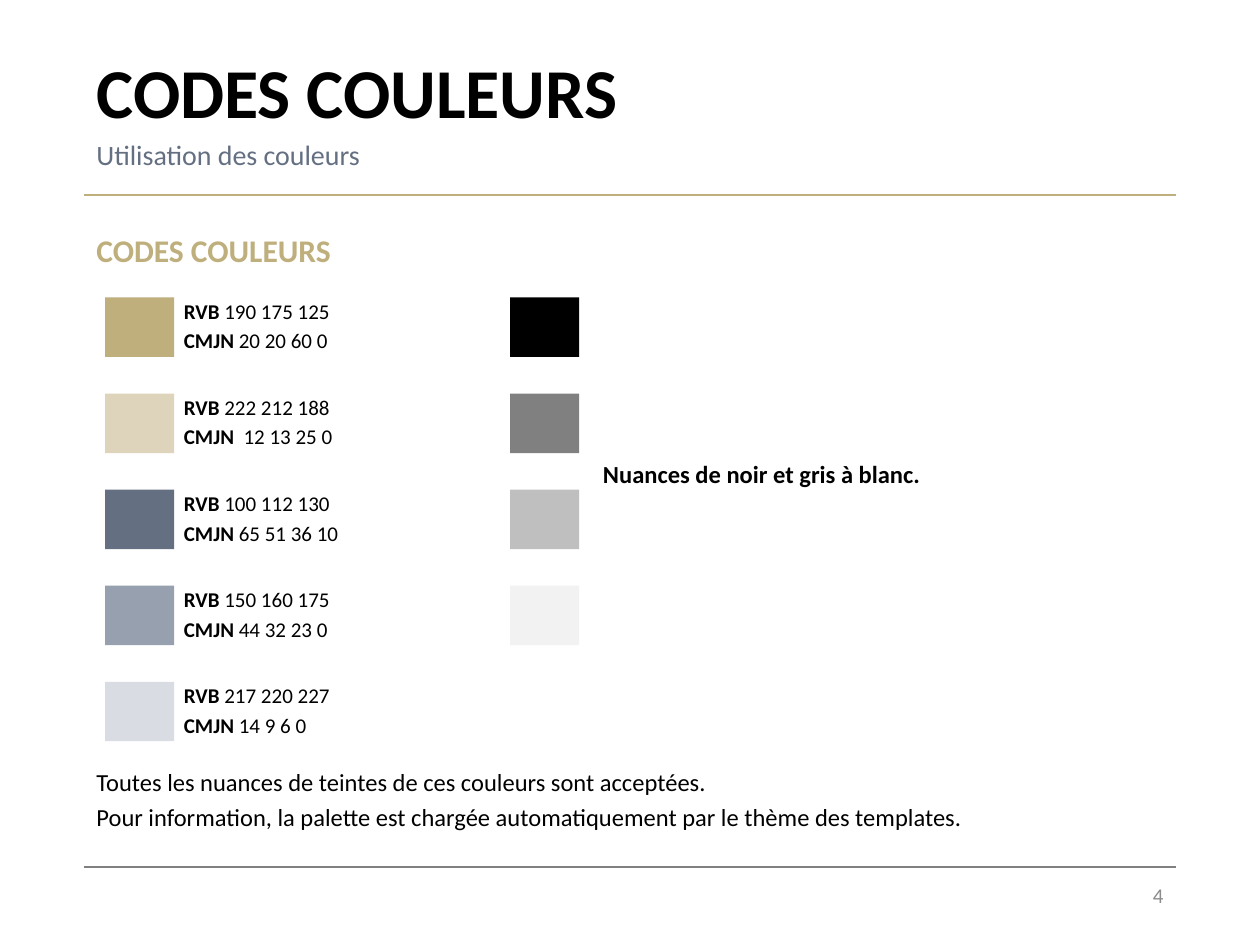
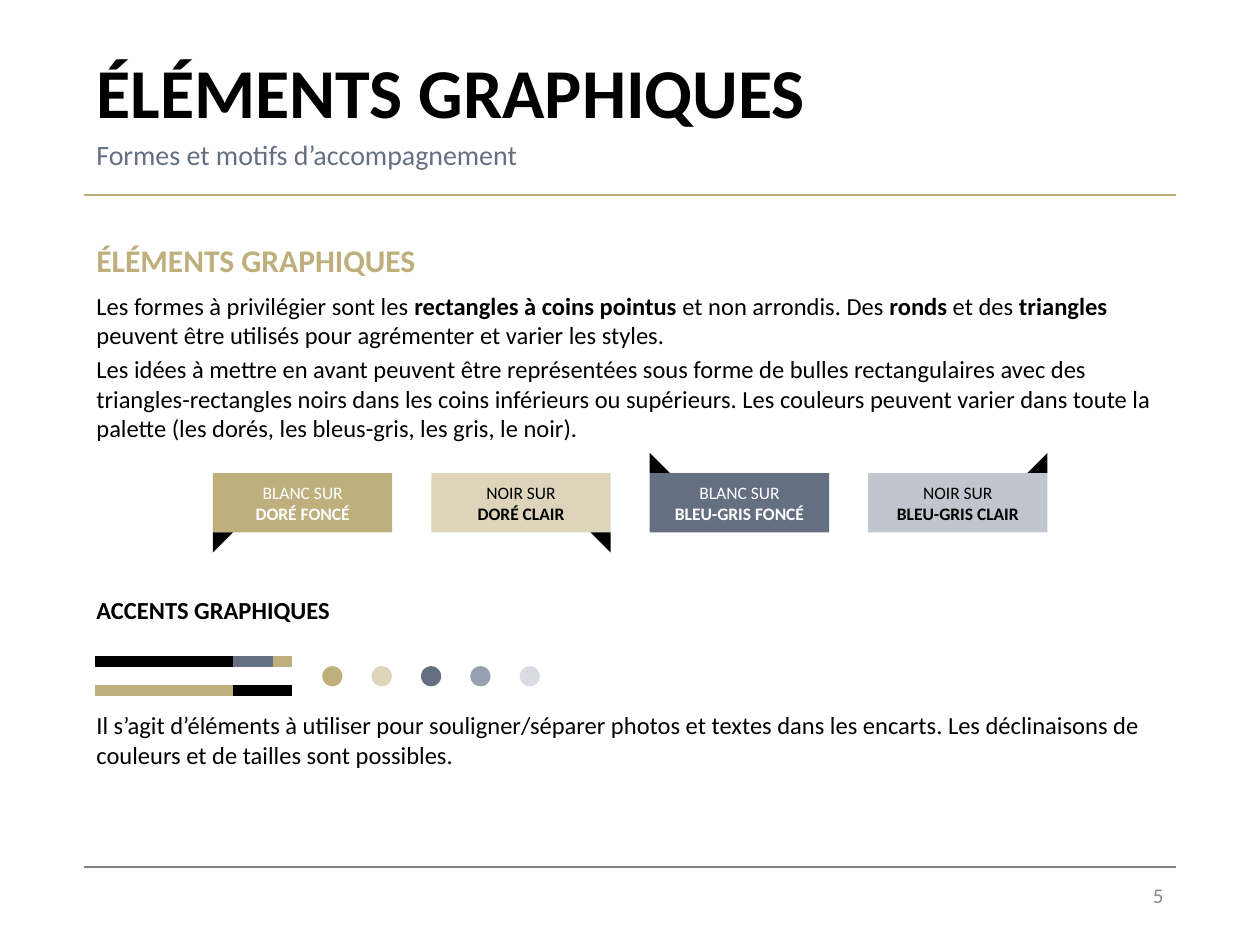
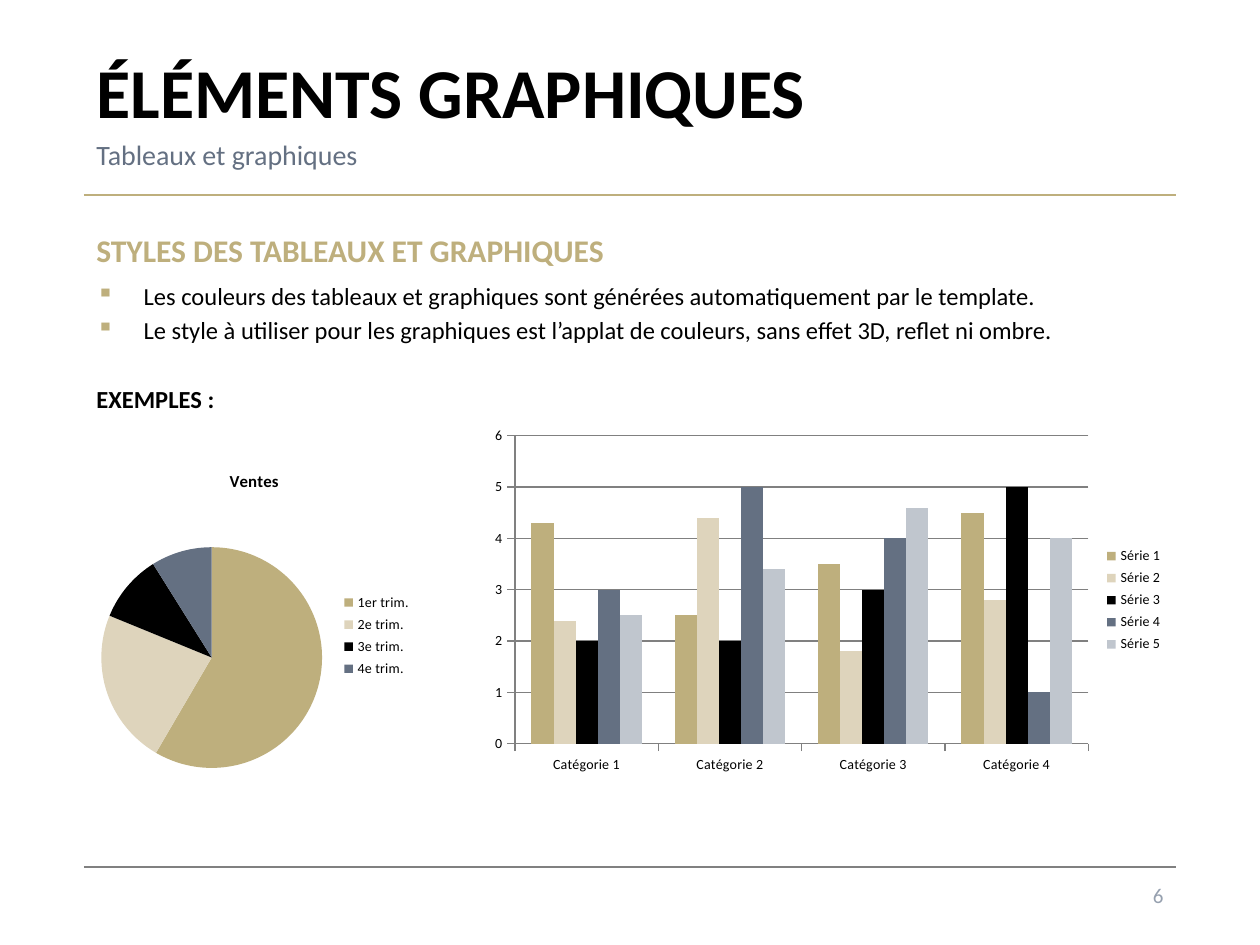
from lxml import etree
from pptx import Presentation
from pptx.chart import data as chart_data
from pptx.dml.color import RGBColor
from pptx.enum import chart as charts, shapes, text
from pptx.oxml import ns
from pptx.util import Pt

FONT = "Calibri"
GOLD, LIGHT_GOLD, BLACK, WHITE = "BEAF7D", "DED4BC", "000000", "FFFFFF"
SLATE, MID_SLATE, PALE_SLATE, LIGHT_SLATE = "647082", "96A0AF", "D9DCE3", "C0C6CE"
GREY, NUMBER_GREY = "808080", "8C8C8C"
LEFT, WIDTH = 48, 624
RECTANGLE = shapes.MSO_SHAPE.RECTANGLE
TRIANGLE = shapes.MSO_SHAPE.RIGHT_TRIANGLE
CIRCLE = shapes.MSO_SHAPE.OVAL
MIDDLE = text.MSO_ANCHOR.MIDDLE
CENTER, RIGHT = text.PP_ALIGN.CENTER, text.PP_ALIGN.RIGHT
color = RGBColor.from_string


def add_block(slide, kind, box, fill=None, paragraphs=(), align=None, anchor=None):
    """Add a shape, or a text box if kind is None.

    Each paragraph is (space before, size, colour, [(text, bold), ...]).
    """
    box = [Pt(length) for length in box]
    if kind is None:
        shape = slide.shapes.add_textbox(*box)
    else:
        shape = slide.shapes.add_shape(kind, *box)
        shape.shadow.inherit = False
        shape.fill.solid()
        shape.fill.fore_color.rgb = color(fill)
        shape.line.fill.background()
    frame = shape.text_frame
    frame.word_wrap = True
    frame.vertical_anchor = anchor
    for index, (space, size, ink, runs) in enumerate(paragraphs):
        paragraph = frame.add_paragraph() if index else frame.paragraphs[0]
        paragraph.alignment = align
        paragraph.space_before = Pt(space)
        for words, bold in runs:
            run = paragraph.add_run()
            run.text = words
            run.font.name, run.font.size, run.font.bold = FONT, Pt(size), bold
            run.font.color.rgb = color(ink)
    return shape


def add_line(slide, start, end, y, ink, width):
    line = slide.shapes.add_connector(
        shapes.MSO_CONNECTOR.STRAIGHT, Pt(start), Pt(y), Pt(end), Pt(y))
    line.line.color.rgb = color(ink)
    line.line.width = Pt(width)
    etree.SubElement(line._element.spPr, ns.qn("a:effectLst"))


presentation = Presentation()
presentation.slide_width, presentation.slide_height = Pt(720), Pt(540)

# Shared frame: title, subtitle, rules and page number
slides = []
for title, subtitle, number, number_color in [
    ("CODES COULEURS", "Utilisation des couleurs", "4", NUMBER_GREY),
    ("ÉLÉMENTS GRAPHIQUES", "Formes et motifs d’accompagnement", "5", NUMBER_GREY),
    ("ÉLÉMENTS GRAPHIQUES", "Tableaux et graphiques", "6", MID_SLATE),
]:
    slide = presentation.slides.add_slide(presentation.slide_layouts[5])
    slides.append(slide)
    heading = slide.shapes.title
    heading.left, heading.top = Pt(LEFT), Pt(32)
    heading.width, heading.height = Pt(WIDTH), Pt(39)
    frame = heading.text_frame
    frame.vertical_anchor = MIDDLE
    frame.auto_size = text.MSO_AUTO_SIZE.NONE
    frame.paragraphs[0].alignment = text.PP_ALIGN.LEFT
    run = frame.paragraphs[0].add_run()
    run.text = title
    run.font.name, run.font.size, run.font.bold = FONT, Pt(40), True
    run.font.color.rgb = color(BLACK)
    add_block(slide, None, (LEFT, 77, WIDTH, 22.5), anchor=MIDDLE,
              paragraphs=[(0, 16, SLATE, [(subtitle, False)])])
    add_line(slide, LEFT, LEFT + WIDTH, 111.5, GOLD, 1)
    add_line(slide, LEFT, LEFT + WIDTH, 495.5, GREY, 1)
    add_block(slide, None, (532, 502.5, 140, 17.5), align=RIGHT, anchor=MIDDLE,
              paragraphs=[(0, 12, number_color, [(number, False)])])
colors_slide, shapes_slide, charts_slide = slides

# Slide 1: colour swatches with their codes
add_block(colors_slide, None, (LEFT, 128.2, WIDTH, 30),
          paragraphs=[(0, 18, GOLD, [("CODES COULEURS", True)])])
swatch_top, swatch_step = 170, 54.9
for row, (fill, rgb_code, cmyk_code) in enumerate([
    (GOLD, " 190 175 125", " 20 20 60 0"),
    (LIGHT_GOLD, " 222 212 188", "  12 13 25 0"),
    (SLATE, " 100 112 130", " 65 51 36 10"),
    (MID_SLATE, " 150 160 175", " 44 32 23 0"),
    (PALE_SLATE, " 217 220 227", " 14 9 6 0"),
]):
    top = swatch_top + row * swatch_step
    add_block(colors_slide, RECTANGLE, (60, top, 39.5, 34), fill)
    add_block(colors_slide, None, (98, top - 3, 115, 39.5), paragraphs=[
        (0, 12, BLACK, [("RVB", True), (rgb_code, False)]),
        (2.4, 12, BLACK, [("CMJN", True), (cmyk_code, False)])])
for row, fill in enumerate([BLACK, GREY, "BFBFBF", "F2F2F2"]):
    add_block(colors_slide, RECTANGLE,
              (291.5, swatch_top + row * swatch_step, 39.5, 34), fill)
add_block(colors_slide, None, (337.5, 258.5, 205, 24.5), paragraphs=[
    (0, 14, BLACK, [("Nuances de noir et gris à blanc.", True)])])
add_block(colors_slide, None, (LEFT, 435, WIDTH, 44.5), paragraphs=[
    (0, 14, BLACK, [("Toutes les nuances de teintes de ces couleurs sont acceptées.", False)]),
    (2.8, 14, BLACK, [("Pour information, la palette est chargée automatiquement "
                       "par le thème des templates.", False)])])

# Slide 2: body text
add_block(shapes_slide, None, (LEFT, 134, WIDTH, 351), paragraphs=[
    (0, 18, GOLD, [("ÉLÉMENTS GRAPHIQUES", True)]),
    (7, 14, BLACK, [
        ("Les formes à privilégier sont les ", False),
        ("rectangles à coins pointus ", True),
        ("et non arrondis. Des ", False),
        ("ronds", True),
        (" et des ", False),
        ("triangles", True),
        (" peuvent être utilisés pour agrémenter et varier les styles.", False)]),
    (2.8, 14, BLACK, [(
        "Les idées à mettre en avant peuvent être représentées sous forme de bulles "
        "rectangulaires avec des triangles-rectangles noirs dans les coins inférieurs "
        "ou supérieurs. Les couleurs peuvent varier dans toute la palette (les dorés, "
        "les bleus-gris, les gris, le noir).", False)]),
    (87, 14, BLACK, [("ACCENTS GRAPHIQUES", True)]),
    (49, 14, BLACK, [(
        "Il s’agit d’éléments à utiliser pour souligner/séparer photos et textes dans "
        "les encarts. Les déclinaisons de couleurs et de tailles sont possibles.", False)])])

# Slide 2: bubbles, each with a black corner
bubble_top, bubble_width, bubble_height, corner = 270.3, 102.5, 34, 11.5
for column, (fill, ink, first, second, flips) in enumerate([
    (GOLD, WHITE, "BLANC SUR", "DORÉ FONCÉ", ["flipV"]),
    (LIGHT_GOLD, BLACK, "NOIR SUR", "DORÉ CLAIR", ["flipH", "flipV"]),
    (SLATE, WHITE, "BLANC SUR", "BLEU-GRIS FONCÉ", []),
    (LIGHT_SLATE, BLACK, "NOIR SUR", "BLEU-GRIS CLAIR", ["flipH"]),
]):
    left = 121.7 + column * 124.8
    add_block(shapes_slide, RECTANGLE, (left, bubble_top, bubble_width, bubble_height), fill,
              [(0, 10, ink, [(first, False)]), (0, 10, ink, [(second, True)])],
              CENTER, MIDDLE)
    corner_left = left + bubble_width - corner if "flipH" in flips else left
    corner_top = bubble_top + (bubble_height if "flipV" in flips else -corner)
    triangle = add_block(shapes_slide, TRIANGLE,
                         (corner_left, corner_top, corner, corner), BLACK)
    for flip in flips:
        triangle._element.spPr.get_or_add_xfrm().set(flip, "1")

# Slide 2: accent bars and dots
for start, end, y, ink in [
    (54, 133, 378, BLACK), (133, 156, 378, SLATE), (156, 167, 378, GOLD),
    (54, 133, 394.5, GOLD), (133, 167, 394.5, BLACK),
]:
    add_line(shapes_slide, start, end, y, ink, 6)
for index, fill in enumerate([GOLD, LIGHT_GOLD, SLATE, MID_SLATE, PALE_SLATE]):
    add_block(shapes_slide, CIRCLE, (184.2 + index * 28.2, 380.7, 11.5, 11.5), fill)

# Slide 3: text with two bullets
body = add_block(charts_slide, None, (LEFT, 128.2, WIDTH, 351), paragraphs=[
    (0, 18, GOLD, [("STYLES DES TABLEAUX ET GRAPHIQUES", True)]),
    (7, 14, BLACK, [("Les couleurs des tableaux et graphiques sont générées "
                     "automatiquement par le template.", False)]),
    (2.8, 14, BLACK, [("Le style à utiliser pour les graphiques est l’applat de "
                       "couleurs, sans effet 3D, reflet ni ombre.", False)]),
    (22.7, 14, BLACK, [("EXEMPLES :", True)])])
for paragraph in body.text_frame.paragraphs[1:3]:
    properties = paragraph._p.get_or_add_pPr()
    properties.set("marL", str(Pt(27)))
    properties.set("indent", str(Pt(-27)))
    bullet_color = etree.SubElement(properties, ns.qn("a:buClr"))
    etree.SubElement(bullet_color, ns.qn("a:srgbClr"), val=GOLD)
    etree.SubElement(properties, ns.qn("a:buChar"), char="▪")

# Slide 3: pie and column charts
sales = chart_data.CategoryChartData()
sales.categories = ["1er trim.", "2e trim.", "3e trim.", "4e trim."]
sales.add_series("Ventes", [59, 23, 10, 9])
columns = chart_data.CategoryChartData()
columns.categories = [f"Catégorie {number}" for number in range(1, 5)]
for number, values in enumerate([
    (4.3, 2.5, 3.5, 4.5), (2.4, 4.4, 1.8, 2.8), (2, 2, 3, 5), (3, 5, 4, 1), (2.5, 3.4, 4.6, 4),
], 1):
    columns.add_series(f"Série {number}", values)

built = []
for kind, box, values in [
    (charts.XL_CHART_TYPE.PIE, (48, 258.5, 194.5, 209.5), sales),
    (charts.XL_CHART_TYPE.COLUMN_CLUSTERED, (275, 240, 397, 206), columns),
]:
    chart = charts_slide.shapes.add_chart(kind, *[Pt(length) for length in box], values).chart
    chart.font.name, chart.font.size = FONT, Pt(8)
    chart.font.color.rgb = color(BLACK)
    chart.has_legend = True
    chart.legend.position = charts.XL_LEGEND_POSITION.RIGHT
    chart.legend.include_in_layout = False
    built.append(chart)
pie_chart, column_chart = built

pie_chart.has_title = True
run = pie_chart.chart_title.text_frame.paragraphs[0].add_run()
run.text = "Ventes"
run.font.name, run.font.size, run.font.bold = FONT, Pt(9.6), True
run.font.color.rgb = color(BLACK)

column_chart.has_title = False
plot = column_chart.plots[0]
plot.vary_by_categories = False
plot.gap_width, plot.overlap = 150, 0
value_axis, category_axis = column_chart.value_axis, column_chart.category_axis
value_axis.minimum_scale, value_axis.maximum_scale, value_axis.major_unit = 0, 6, 1
value_axis.has_major_gridlines = True
for axis in (value_axis, category_axis):
    axis.major_tick_mark = charts.XL_TICK_MARK.OUTSIDE
for line in (value_axis.format.line, category_axis.format.line,
             value_axis.major_gridlines.format.line):
    line.color.rgb = color(GREY)
    line.width = Pt(0.75)

slices = [pie_chart.plots[0].series[0].points[index] for index in range(4)]
for parts in (slices, plot.series):
    for part, fill in zip(parts, [GOLD, LIGHT_GOLD, BLACK, SLATE, LIGHT_SLATE]):
        part.format.fill.solid()
        part.format.fill.fore_color.rgb = color(fill)

presentation.save("out.pptx")
